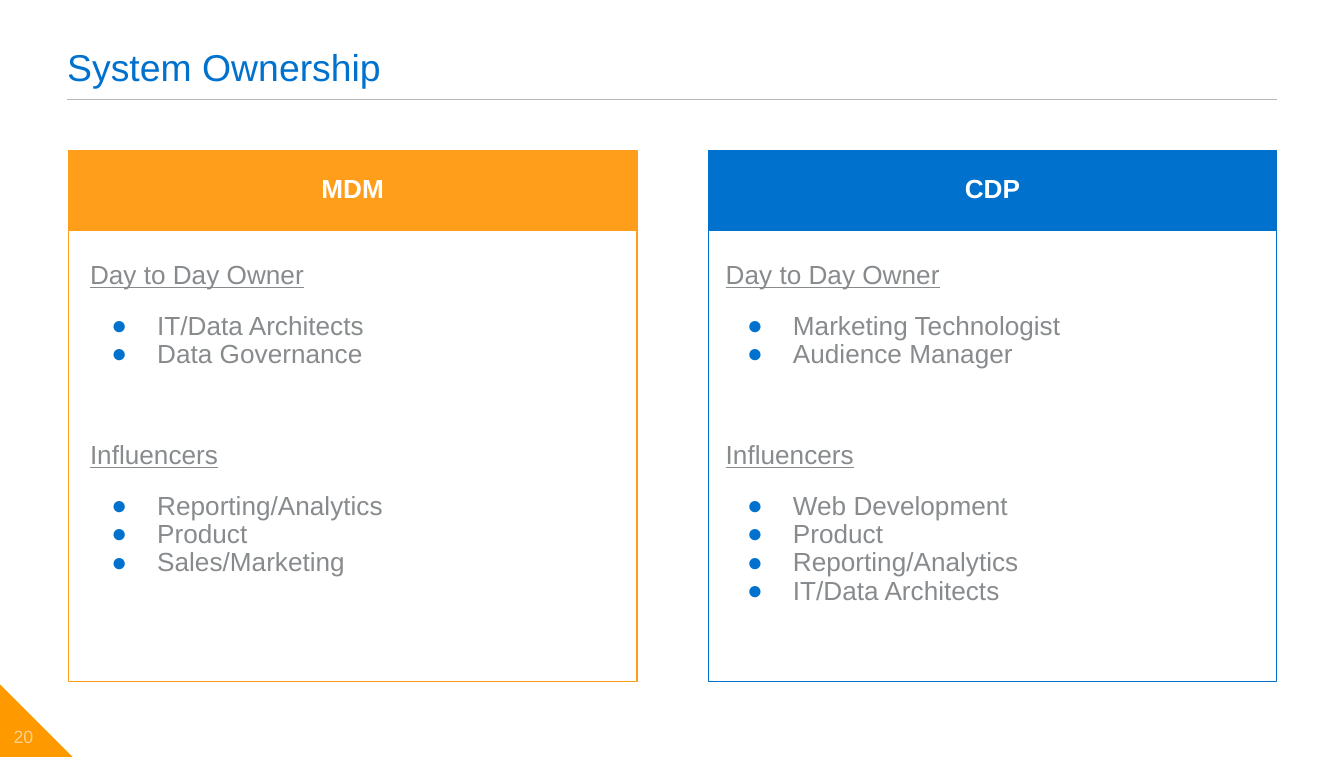
"""Build the System Ownership slide comparing who owns MDM and CDP."""
from dataclasses import dataclass

from lxml.etree import SubElement
from pptx import Presentation
from pptx.dml.color import RGBColor
from pptx.enum.shapes import MSO_CONNECTOR, MSO_SHAPE
from pptx.enum.text import MSO_ANCHOR, PP_ALIGN
from pptx.oxml.ns import qn
from pptx.util import Inches, Pt

ORANGE = RGBColor(0xFF, 0x9E, 0x1B)
CORNER_ORANGE = RGBColor(0xFF, 0x99, 0x00)
PALE_ORANGE = RGBColor(0xFF, 0xD0, 0x92)
BLUE = RGBColor(0x00, 0x72, 0xCE)
GRAY = RGBColor(0x88, 0x8B, 0x8D)
RULE_GRAY = RGBColor(0xB7, 0xB8, 0xB9)
WHITE = RGBColor(0xFF, 0xFF, 0xFF)

PANEL_WIDTH = 4.23
HEADER_TOP, HEADER_HEIGHT = 1.12, 0.59
FRAME_HEIGHT = 3.36


@dataclass
class Group:
    heading: str
    members: list[str]


@dataclass
class Panel:
    title: str
    left: float
    text_left: float
    color: RGBColor
    groups: list[Group]


PANELS = [
    Panel("MDM", 0.51, 0.67, ORANGE, [
        Group("Day to Day Owner", ["IT/Data Architects", "Data Governance"]),
        Group("Influencers", ["Reporting/Analytics", "Product", "Sales/Marketing"]),
    ]),
    Panel("CDP", 5.27, 5.4, BLUE, [
        Group("Day to Day Owner", ["Marketing Technologist", "Audience Manager"]),
        Group("Influencers", ["Web Development", "Product", "Reporting/Analytics", "IT/Data Architects"]),
    ]),
]


def add_shape(page, kind, left, top, width, height, fill=None, line=None):
    """Add a flat shape with an optional fill and outline."""
    shape = page.shapes.add_shape(kind, Inches(left), Inches(top), Inches(width), Inches(height))
    shape.shadow.inherit = False
    if fill is None:
        shape.fill.background()
    else:
        shape.fill.solid()
        shape.fill.fore_color.rgb = fill
    if line is None:
        shape.line.fill.background()
    else:
        shape.line.color.rgb = line
        shape.line.width = Pt(0.75)
    return shape


def add_text_box(page, left: float, top: float, width: float, height: float, anchor=MSO_ANCHOR.TOP):
    """Add a wrapping text box without margins and return its frame."""
    frame = page.shapes.add_textbox(Inches(left), Inches(top), Inches(width), Inches(height)).text_frame
    margins = dict.fromkeys(("margin_left", "margin_top", "margin_right", "margin_bottom"), 0)
    for name, value in {"word_wrap": True, "vertical_anchor": anchor, **margins}.items():
        setattr(frame, name, value)
    return frame


def write(para, text: str, color: RGBColor, size: float = 14, align=PP_ALIGN.LEFT, before: float = 0, **formats) -> None:
    """Write one formatted span into a paragraph."""
    for name, value in {"alignment": align, "line_spacing": 0.9, "space_before": Pt(before)}.items():
        setattr(para, name, value)
    span = para.add_run()
    span.text = text
    span.font.color.rgb = color
    for name, value in {"name": "Arial", "size": Pt(size), **formats}.items():
        setattr(span.font, name, value)


def add_bullet(para) -> None:
    """Give a paragraph a hanging blue bullet."""
    properties = para._p.get_or_add_pPr()
    properties.set("marL", str(Inches(0.5)))
    properties.set("indent", str(Inches(-0.34)))
    color = SubElement(properties, qn("a:buClr"))
    SubElement(color, qn("a:srgbClr"), val=str(BLUE))
    SubElement(properties, qn("a:buFont"), typeface="Arial")
    SubElement(properties, qn("a:buChar"), char="●")


def add_panel(page, panel: Panel) -> None:
    """Draw a framed panel with its header and grouped bullets."""
    header_bottom = HEADER_TOP + HEADER_HEIGHT
    add_shape(page, MSO_SHAPE.RECTANGLE, panel.left, header_bottom, PANEL_WIDTH, FRAME_HEIGHT, line=panel.color)
    header = add_shape(page, MSO_SHAPE.RECTANGLE, panel.left, HEADER_TOP, PANEL_WIDTH, HEADER_HEIGHT,
                       panel.color, panel.color)
    header.text_frame.vertical_anchor = MSO_ANCHOR.MIDDLE
    write(header.text_frame.paragraphs[0], panel.title, WHITE, align=PP_ALIGN.CENTER, bold=True)

    frame = add_text_box(page, panel.text_left, 1.95, 3.93, 2.94)
    for group_index, group in enumerate(panel.groups):
        para = frame.add_paragraph() if group_index else frame.paragraphs[0]
        write(para, group.heading, GRAY, before=39 if group_index else 0, underline=True)
        for member_index, member in enumerate(group.members):
            para = frame.add_paragraph()
            add_bullet(para)
            write(para, member, GRAY, before=0 if member_index else 12)


def add_rule(page) -> None:
    """Draw the thin line under the title."""
    rule = page.shapes.add_connector(MSO_CONNECTOR.STRAIGHT, Inches(0.5), Inches(0.74), Inches(9.5), Inches(0.74))
    rule.line.color.rgb = RULE_GRAY
    rule.line.width = Pt(0.75)
    SubElement(rule._element.spPr, qn("a:effectLst"))


def main() -> None:
    """Build and save the deck."""
    deck = Presentation()
    deck.slide_width, deck.slide_height = Inches(10), Inches(5.63)
    page = deck.slides.add_slide(deck.slide_layouts[6])
    add_shape(page, MSO_SHAPE.RIGHT_TRIANGLE, 0, 5.09, 0.54, 0.54, CORNER_ORANGE)
    add_rule(page)
    number = add_text_box(page, 0, 5.35, 0.35, 0.28, MSO_ANCHOR.MIDDLE)
    write(number.paragraphs[0], "20", PALE_ORANGE, 9.5, PP_ALIGN.CENTER)
    title = add_text_box(page, 0.5, 0.11, 9, 0.56, MSO_ANCHOR.BOTTOM)
    write(title.paragraphs[0], "System Ownership", BLUE, 20)
    for panel in PANELS:
        add_panel(page, panel)
    deck.save("out.pptx")


if __name__ == "__main__":
    main()
